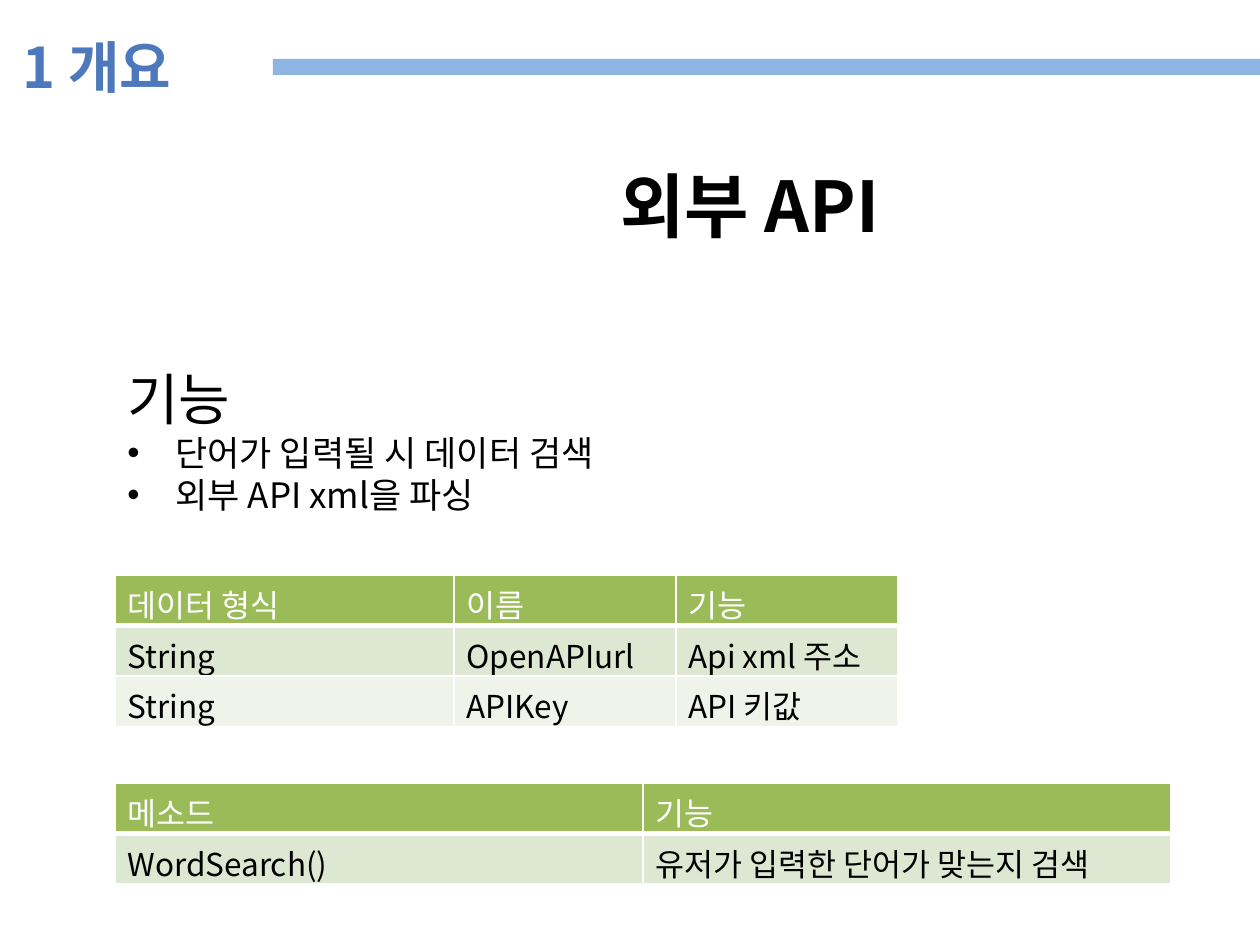
import dataclasses
import pptx
import pptx.util
import pptx.dml.color
import pptx.enum.shapes
import pptx.enum.text
import pptx.oxml.ns
import lxml.etree

SCALE = 914400 // 126


def px(n):
    return pptx.util.Emu(round(n * 914400 / 126))


@dataclasses.dataclass(frozen=True)
class Theme:
    font: str = "Noto Sans CJK KR"
    blue: str = "4D79BC"
    sky: str = "8EB4E3"
    green: str = "9BBB59"
    bands: tuple = ("DEE7D1", "EFF3EA")
    black: str = "000000"
    white: str = "FFFFFF"
    head: int = 40
    title: int = 32
    body: int = 20
    cell: int = 18


THEME = Theme()
ALIGN = pptx.enum.text.PP_ALIGN


def rgb(code):
    return pptx.dml.color.RGBColor.from_string(code)


def node(parent, tag, **attrs):
    item = lxml.etree.SubElement(parent, pptx.oxml.ns.qn(tag))
    for key, value in attrs.items():
        item.set(key, str(value))
    return item


def write(para, text, size=THEME.body, color=THEME.black, bold=False,
          align=ALIGN.LEFT, bullet=False):
    para.alignment = align
    run = para.add_run()
    run.text = text
    font = run.font
    font.name, font.size, font.bold = THEME.font, pptx.util.Pt(size), bold
    font.color.rgb = rgb(color)
    node(font._element, "a:ea", typeface=THEME.font)
    if bullet:
        props = para._p.get_or_add_pPr()
        props.set("marL", str(px(48)))
        props.set("indent", str(-px(48)))
        node(props, "a:buFont", typeface="Arial")
        node(props, "a:buChar", char="•")


def place(shape, x, y, w, h):
    shape.left, shape.top, shape.width, shape.height = map(px, (x, y, w, h))


def frame(shape, wrap=True):
    text = shape.text_frame
    text.word_wrap = wrap
    text.auto_size = pptx.enum.text.MSO_AUTO_SIZE.SHAPE_TO_FIT_TEXT
    text.vertical_anchor = pptx.enum.text.MSO_ANCHOR.TOP
    return text


def box(slide, x, y, w, h):
    return frame(slide.shapes.add_textbox(*map(px, (x, y, w, h))))


def bar(slide, x, y, w, h):
    kind = pptx.enum.shapes.MSO_SHAPE.RECTANGLE
    shape = slide.shapes.add_shape(kind, *map(px, (x, y, w, h)))
    shape.shadow.inherit = False
    shape.fill.solid()
    shape.fill.fore_color.rgb = rgb(THEME.sky)
    shape.line.fill.background()


def edge(cell, low):
    props = cell._tc.get_or_add_tcPr()
    for i, side in enumerate("LRTB"):
        width = pptx.util.Pt(low if side == "B" else 1)
        line = node(props, "a:ln" + side, w=width)
        node(node(line, "a:solidFill"), "a:srgbClr", val=THEME.white)
        props.insert(i, line)


def grid(slide, x, y, h, cols, step, rows):
    shape = slide.shapes.add_table(
        len(rows), len(cols), px(x), px(y), px(sum(cols)), px(h))
    table = shape.table
    for col, width in zip(table.columns, cols):
        col.width = px(width)
    for r, row in enumerate(rows):
        table.rows[r].height = px(step)
        head = r == 0
        for c, text in enumerate(row):
            cell = table.cell(r, c)
            cell.fill.solid()
            cell.fill.fore_color.rgb = rgb(
                THEME.green if head else THEME.bands[(r - 1) % 2])
            edge(cell, 3 if head else 1)
            write(cell.text_frame.paragraphs[0], text, size=THEME.cell,
                  color=THEME.white if head else THEME.black)
    shape.height = px(h)


def main():
    deck = pptx.Presentation()
    deck.slide_width, deck.slide_height = px(1260), px(945)
    slide = deck.slides.add_slide(deck.slide_layouts[5])

    bar(slide, 273, 59, 992, 16)
    title = slide.shapes.title
    place(title, 10, 26, 192, 81)
    write(frame(title, wrap=False).paragraphs[0], "1 개요",
          size=THEME.title, color=THEME.blue, bold=True)

    head = box(slide, 469, 156, 562, 97)
    write(head.paragraphs[0], "외부 API", size=THEME.head, bold=True,
          align=ALIGN.CENTER)

    body = box(slide, 115, 358, 601, 165)
    write(body.paragraphs[0], "기능", size=THEME.title)
    for text in ("단어가 입력될 시 데이터 검색", "외부 API xml을 파싱"):
        write(body.add_paragraph(), text, bullet=True)

    grid(slide, 115, 575, 151, (339, 222, 222), 24, (
        ("데이터 형식", "이름", "기능"),
        ("String", "OpenAPIurl", "Api xml 주소"),
        ("String", "APIKey", "API 키값")))
    grid(slide, 115, 783, 101, (528, 528), 26, (
        ("메소드", "기능"),
        ("WordSearch()", "유저가 입력한 단어가 맞는지 검색")))
    deck.save("out.pptx")


main()
